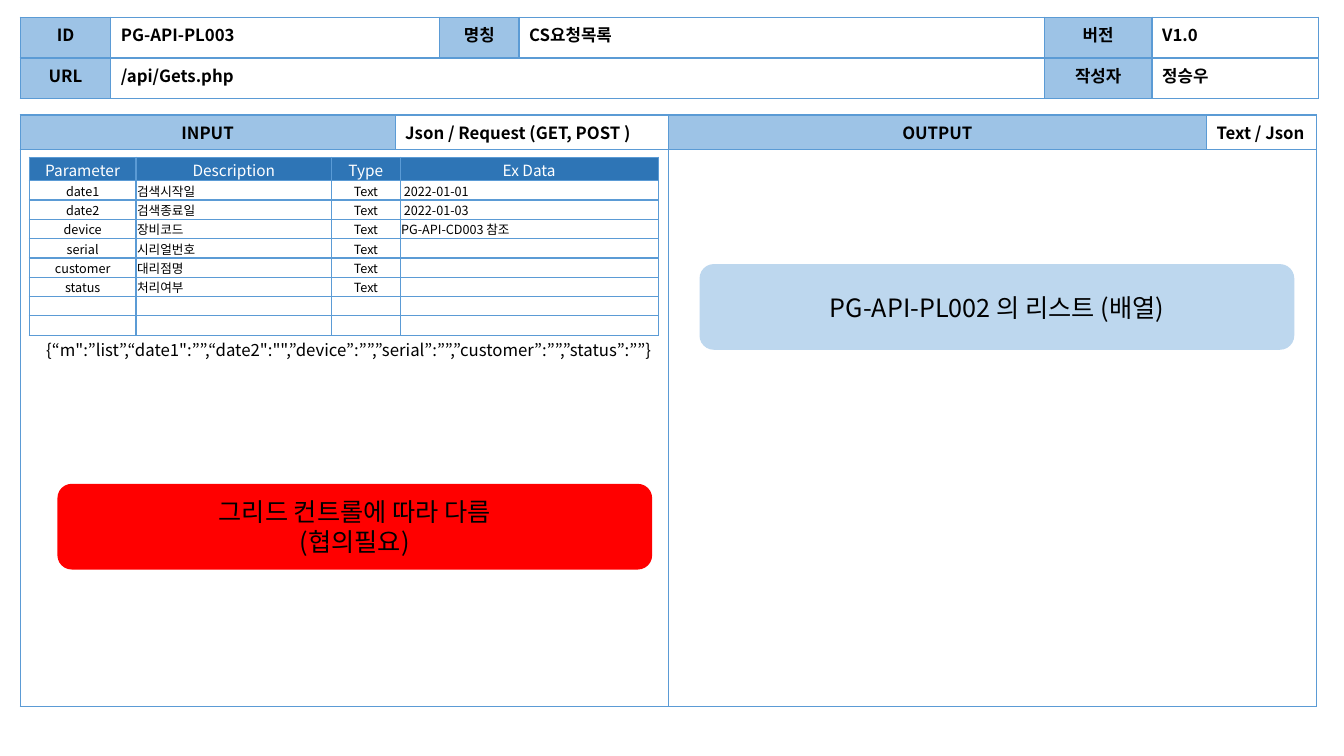
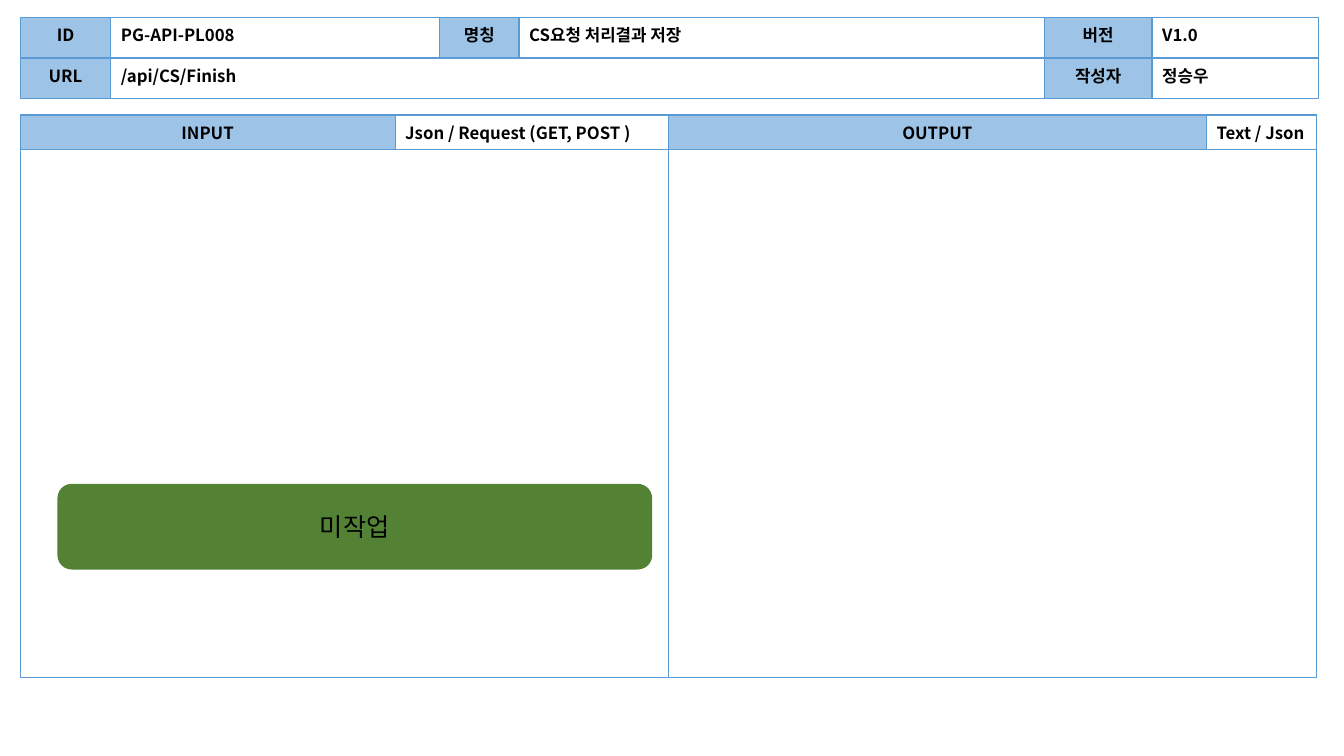
from dataclasses import dataclass
from typing import NamedTuple

from lxml.etree import SubElement
from pptx import Presentation
from pptx.dml.color import RGBColor
from pptx.enum.shapes import MSO_SHAPE as Preset
from pptx.enum.text import MSO_ANCHOR as Anchor, PP_ALIGN as Align
from pptx.oxml.ns import qn
from pptx.slide import Slide
from pptx.table import Table, _Cell as Cell
from pptx.text.text import _Paragraph as Paragraph
from pptx.util import Emu, Inches, Pt


@dataclass(frozen=True)
class Theme:
    """Colours, font and type sizes of the whole deck."""
    font: str = "Noto Sans CJK KR"
    ink: str = "000000"
    paper: str = "FFFFFF"
    label: str = "9DC3E6"
    heading: str = "2E75B6"
    border: str = "5B9BD5"
    result: str = "BDD7EE"
    warning: str = "FF0000"
    pending: str = "548235"
    body: float = 12
    column_head: float = 11
    small: float = 9
    callout: float = 18
    border_width: float = 1


class Box(NamedTuple):
    """Place on the grid: first column, first row, columns and rows covered."""
    left: float
    top: float
    width: float
    height: float


@dataclass(frozen=True)
class CellStyle:
    """Look of one table cell; an inset of None keeps the default margins."""
    fill: str
    size: float
    color: str
    bold: bool = False
    align: Align = Align.LEFT
    anchor: Anchor = Anchor.TOP
    inset: float | None = None


@dataclass(frozen=True)
class Callout:
    """Rounded panel with centred lines."""
    box: Box
    fill: str
    lines: tuple[str, ...]


@dataclass(frozen=True)
class ApiPage:
    """Content of one API page."""
    api_id: str
    name: str
    url: str
    body_rows: float
    callouts: tuple[Callout, ...]
    parameters: tuple[tuple[str, ...], ...] = ()
    request: str = ""


THEME = Theme()
GRID = Inches(0.1)  # one column or row
SLIDE_COLUMNS, SLIDE_ROWS = 133.33, 75

LABEL = CellStyle(THEME.label, THEME.body, THEME.ink, True, Align.CENTER)
VALUE = CellStyle(THEME.paper, THEME.body, THEME.ink, True)
COLUMN_HEAD = CellStyle(THEME.heading, THEME.column_head, THEME.paper,
                        align=Align.CENTER, anchor=Anchor.MIDDLE, inset=0.1)
CENTRED = CellStyle(THEME.paper, THEME.small, THEME.ink,
                    align=Align.CENTER, anchor=Anchor.MIDDLE, inset=0.1)
PLAIN = CellStyle(THEME.paper, THEME.small, THEME.ink, anchor=Anchor.MIDDLE, inset=0.1)

MARGIN = 2
INFO_TOP, INFO_COLUMNS, INFO_ROWS = 1.7, (9, 32.6, 7.9, 52.1, 10.7, 16.5), (4.05, 4.05)
PANEL_TOP, PANEL_HEAD, PANEL_COLUMNS = 11.4, 3.4, (37.2, 27.1, 53.4, 10.9)
PARAMETER_LEFT, PARAMETER_TOP = 2.9, 15.6
PARAMETER_COLUMNS, PARAMETER_HEAD, PARAMETER_ROW = (10.6, 19.4, 6.8, 25.6), 2.3, 1.92
REQUEST_BOX = Box(3.6, 33.2, 66.7, 3)
INPUT_NOTE = Box(5.7, 48, 59, 8.5)
OUTPUT_NOTE = Box(69.4, 26.2, 59, 8.5)

PAGES = (
    ApiPage(
        "PG-API-PL003", "CS요청목록", "/api/Gets.php", 55.3,
        (Callout(OUTPUT_NOTE, THEME.result, ("PG-API-PL002 의 리스트 (배열)",)),
         Callout(INPUT_NOTE, THEME.warning, ("그리드 컨트롤에 따라 다름", "(협의필요)"))),
        (("date1", "검색시작일", "Text", " 2022-01-01"),
         ("date2", "검색종료일", "Text", " 2022-01-03"),
         ("device", "장비코드", "Text", "PG-API-CD003 참조"),
         ("serial", "시리얼번호", "Text", ""),
         ("customer", "대리점명", "Text", ""),
         ("status", "처리여부", "Text", ""),
         ("",) * 4,
         ("",) * 4),
        "{“m\":”list”,“date1\":””,“date2\":\"\",”device”:””,”serial”:””,"
        "”customer”:””,”status”:””}",
    ),
    ApiPage("PG-API-PL008", "CS요청 처리결과 저장", "/api/CS/Finish", 52.4,
            (Callout(INPUT_NOTE, THEME.pending, ("미작업",)),)),
)


def span(units: float) -> Emu:
    """Turn grid units into a length."""
    return Emu(round(units * GRID))


def place(box: Box) -> tuple[Emu, ...]:
    """Turn a grid box into left, top, width and height."""
    return tuple(span(units) for units in box)


def rgb(color: str) -> RGBColor:
    """Turn a hex value into a colour."""
    return RGBColor.from_string(color)


def add_text(paragraph: Paragraph, words: str, size: float, color: str,
             bold: bool = False) -> None:
    """Add one formatted run, with the same face for Latin and Korean."""
    run = paragraph.add_run()
    run.text = words
    run.font.size, run.font.bold = Pt(size), bold
    run.font.color.rgb = rgb(color)
    run.font.name = THEME.font
    SubElement(run.font._element, qn("a:ea"), typeface=THEME.font)


def add_borders(cell: Cell) -> None:
    """Draw the four edges of a cell."""
    properties = cell._tc.get_or_add_tcPr()
    for edge in ("a:lnL", "a:lnR", "a:lnT", "a:lnB"):
        line = SubElement(properties, qn(edge), w=str(Pt(THEME.border_width)))
        fill = SubElement(line, qn("a:solidFill"))
        SubElement(fill, qn("a:srgbClr"), val=THEME.border)


def fill_cell(cell: Cell, words: str, style: CellStyle) -> None:
    """Style a cell and write its text."""
    add_borders(cell)
    cell.fill.solid()
    cell.fill.fore_color.rgb = rgb(style.fill)
    cell.vertical_anchor = style.anchor
    if style.inset is not None:
        cell.margin_left = cell.margin_right = cell.margin_top = span(style.inset)
        cell.margin_bottom = 0
    paragraph = cell.text_frame.paragraphs[0]
    paragraph.alignment = style.align
    if words:
        add_text(paragraph, words, style.size, style.color, style.bold)
    else:
        end = SubElement(paragraph._p, qn("a:endParaRPr"), sz=str(int(style.size * 100)))
        for face in ("a:latin", "a:ea"):
            SubElement(end, qn(face), typeface=THEME.font)


def add_grid_table(slide: Slide, left: float, top: float, columns: tuple[float, ...],
                   rows: tuple[float, ...], texts: tuple[tuple[str, ...], ...],
                   styles: tuple[tuple[CellStyle, ...], ...]) -> Table:
    """Add a table with the given grid, texts and cell styles."""
    box = Box(left, top, sum(columns), sum(rows))
    table = slide.shapes.add_table(len(rows), len(columns), *place(box)).table
    table.first_row = table.horz_banding = False
    for column, width in zip(table.columns, columns):
        column.width = span(width)
    for row, height, words, looks in zip(table.rows, rows, texts, styles):
        row.height = span(height)
        for cell, word, style in zip(row.cells, words, looks):
            fill_cell(cell, word, style)
    return table


def add_info(slide: Slide, page: ApiPage) -> None:
    """Add the identification table at the top."""
    texts = (("ID", page.api_id, "명칭", page.name, "버전", "V1.0"),
             ("URL", page.url, "", "", "작성자", "정승우"))
    styles = ((LABEL, VALUE) * 3, (LABEL, VALUE, VALUE, VALUE, LABEL, VALUE))
    info = add_grid_table(slide, MARGIN, INFO_TOP, INFO_COLUMNS, INFO_ROWS, texts, styles)
    info.cell(1, 1).merge(info.cell(1, 3))


def add_panels(slide: Slide, page: ApiPage) -> None:
    """Add the input and output panels."""
    texts = (("INPUT", "Json / Request (GET, POST )", "OUTPUT", "Text / Json"), ("",) * 4)
    panels = add_grid_table(slide, MARGIN, PANEL_TOP, PANEL_COLUMNS,
                            (PANEL_HEAD, page.body_rows), texts,
                            ((LABEL, VALUE) * 2, (VALUE,) * 4))
    for first in (0, 2):
        panels.cell(1, first).merge(panels.cell(1, first + 1))


def add_parameters(slide: Slide, page: ApiPage) -> None:
    """Add the table of request parameters."""
    count = len(page.parameters)
    heads = ("Parameter", "Description", "Type", "Ex Data")
    add_grid_table(slide, PARAMETER_LEFT, PARAMETER_TOP, PARAMETER_COLUMNS,
                   (PARAMETER_HEAD,) + (PARAMETER_ROW,) * count,
                   (heads,) + page.parameters,
                   ((COLUMN_HEAD,) * 4,) + ((CENTRED, PLAIN) * 2,) * count)


def add_request(slide: Slide, request: str) -> None:
    """Add the sample request below the parameters."""
    frame = slide.shapes.add_textbox(*place(REQUEST_BOX)).text_frame
    frame.word_wrap = True
    add_text(frame.paragraphs[0], request, THEME.body, THEME.ink)


def add_callout(slide: Slide, callout: Callout) -> None:
    """Add a rounded panel with its lines."""
    panel = slide.shapes.add_shape(Preset.ROUNDED_RECTANGLE, *place(callout.box))
    panel.shadow.inherit = False
    panel.fill.solid()
    panel.fill.fore_color.rgb = rgb(callout.fill)
    panel.line.fill.background()
    frame = panel.text_frame
    frame.word_wrap = True
    frame.vertical_anchor = Anchor.MIDDLE
    for index, words in enumerate(callout.lines):
        paragraph = frame.add_paragraph() if index else frame.paragraphs[0]
        paragraph.alignment = Align.CENTER
        add_text(paragraph, words, THEME.callout, THEME.ink)


def main() -> None:
    """Build the deck and save it."""
    deck = Presentation()
    deck.slide_width, deck.slide_height = span(SLIDE_COLUMNS), span(SLIDE_ROWS)
    blank = deck.slide_layouts.get_by_name("Blank")
    for page in PAGES:
        slide = deck.slides.add_slide(blank)
        add_panels(slide, page)
        add_info(slide, page)
        if page.parameters:
            add_parameters(slide, page)
        if page.request:
            add_request(slide, page.request)
        for callout in page.callouts:
            add_callout(slide, callout)
    deck.save("out.pptx")


main()
